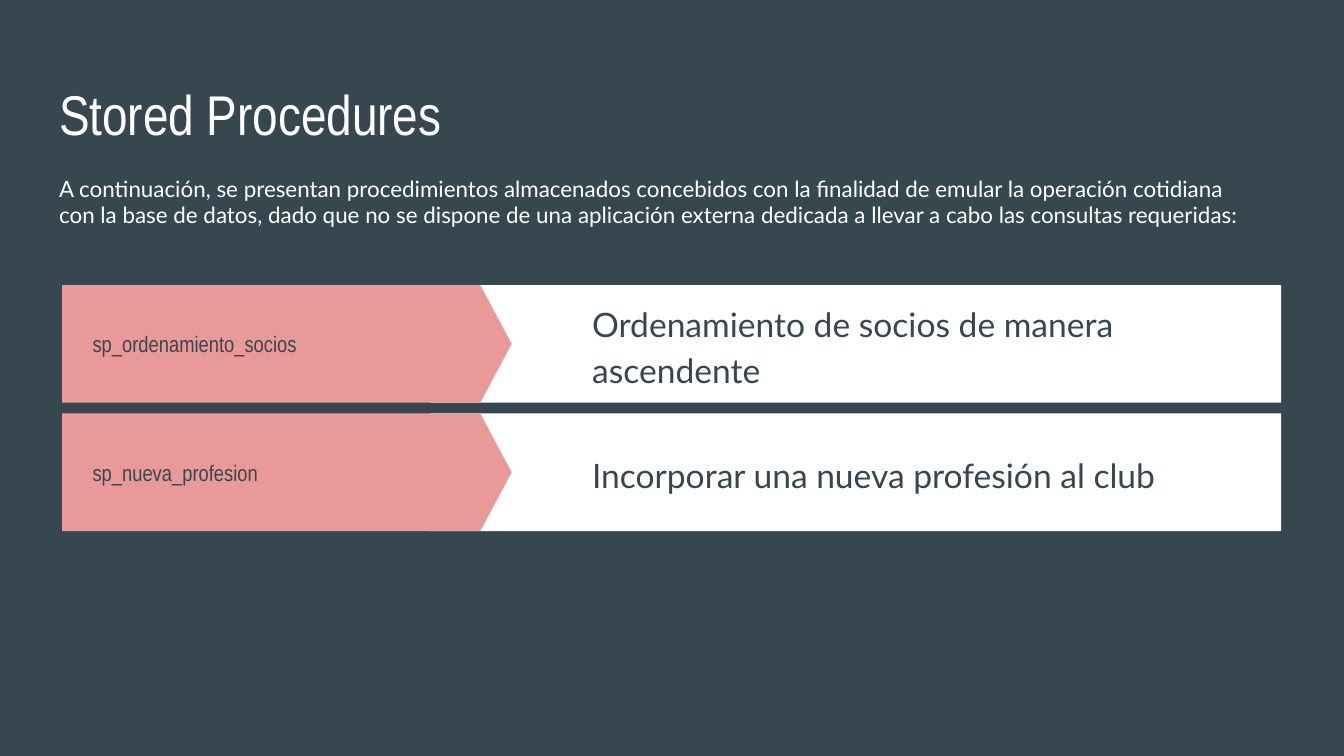
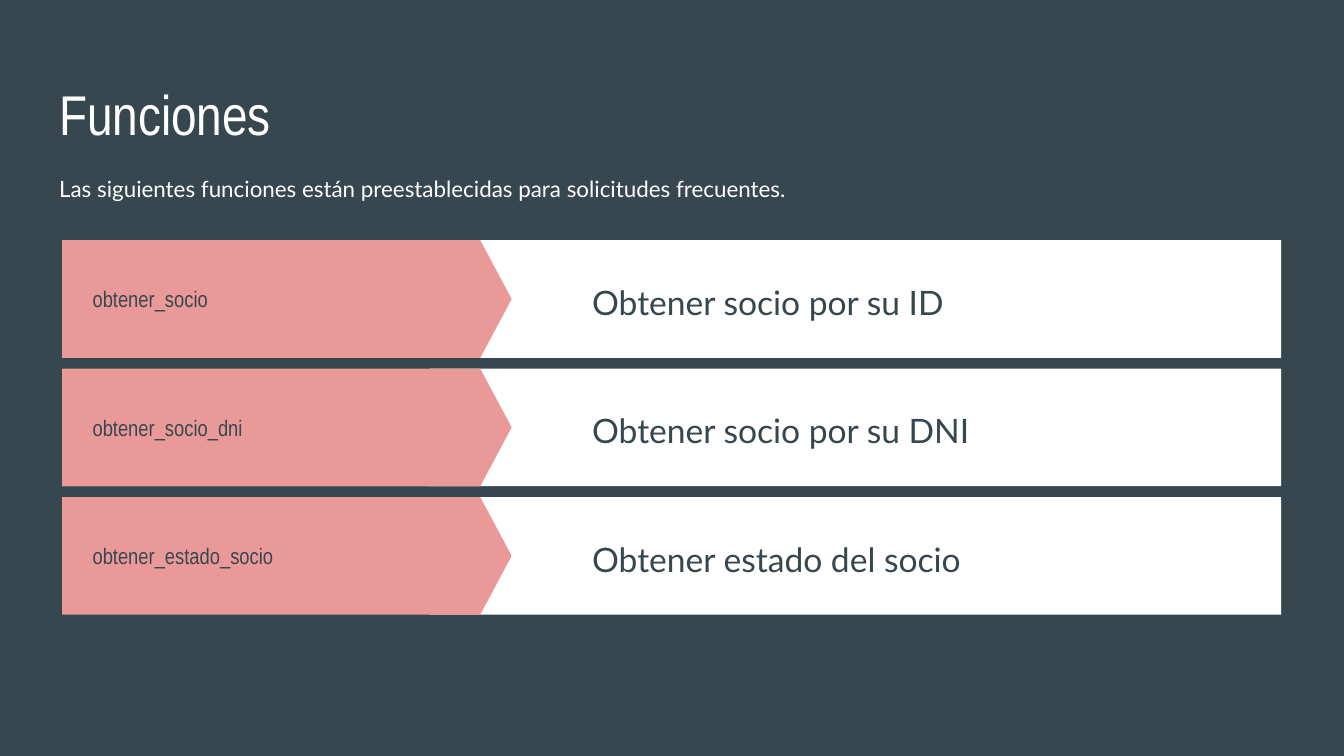
from pptx import Presentation
from pptx.dml.color import RGBColor
from pptx.enum.shapes import MSO_SHAPE
from pptx.enum.text import MSO_ANCHOR, MSO_AUTO_SIZE
from pptx.util import Pt

SLATE = RGBColor(0x37, 0x47, 0x4F)
PINK = RGBColor(0xEA, 0x99, 0x99)
WHITE = RGBColor(0xFF, 0xFF, 0xFF)
HEADING_FONT = "Arial Narrow"
BODY_FONT = "Lato"

MARGIN_LEFT = 24.6
ROW_HEIGHT = 63
ROW_PITCH = 68.8
INSET = 7.2


class ListDeck:
    """Slides with a title, an introduction and rows of name and purpose."""

    def __init__(self):
        self.deck = Presentation()
        self.deck.slide_width = Pt(720)
        self.deck.slide_height = Pt(405)
        self.page = None

    def add_page(self):
        self.page = self.deck.slides.add_slide(self.deck.slide_layouts[6])
        fill = self.page.background.fill
        fill.solid()
        fill.fore_color.rgb = SLATE

    def add_text(self, text, left, top, width, height, size, font, color,
                 anchor=MSO_ANCHOR.TOP):
        """Add a wrapped text box; return its frame and paragraph."""
        box = self.page.shapes.add_textbox(Pt(left), Pt(top), Pt(width), Pt(height))
        frame = box.text_frame
        frame.word_wrap = True
        frame.vertical_anchor = anchor
        frame.margin_left = frame.margin_right = Pt(INSET)
        frame.margin_top = frame.margin_bottom = Pt(INSET)
        para = frame.paragraphs[0]
        span = para.add_run()
        span.text = text
        span.font.size = Pt(size)
        span.font.name = font
        span.font.color.rgb = color
        return frame, para

    def add_title(self, text):
        self.add_text(text, MARGIN_LEFT, 35.2, 671, 45.4, 30, HEADING_FONT, WHITE)

    def add_intro(self, text, height):
        frame, para = self.add_text(text, MARGIN_LEFT, 86.4, 653, height,
                                    12, BODY_FONT, WHITE)
        frame.auto_size = MSO_AUTO_SIZE.SHAPE_TO_FIT_TEXT
        para.space_before = Pt(5)
        para.space_after = Pt(10)

    def add_band(self, group, kind, left, top, width, color):
        band = group.shapes.add_shape(kind, Pt(left), Pt(top), Pt(width), Pt(ROW_HEIGHT))
        band.shadow.inherit = False
        band.fill.solid()
        band.fill.fore_color.rgb = color
        band.line.fill.background()
        return band

    def add_row(self, name, purpose, top):
        group = self.page.shapes.add_group_shape()
        self.add_band(group, MSO_SHAPE.RECTANGLE, 230.4, top, 456, WHITE)
        arrow = self.add_band(group, MSO_SHAPE.PENTAGON, 33.3, top, 240.8, PINK)
        arrow.adjustments[0] = 0.267
        self.add_text(name, 42.5, top, 190.8, ROW_HEIGHT, 12, HEADING_FONT,
                      SLATE, MSO_ANCHOR.MIDDLE)
        _, para = self.add_text(purpose, 274.1, top, 402.5, ROW_HEIGHT, 18, BODY_FONT,
                                SLATE, MSO_ANCHOR.MIDDLE)
        para.line_spacing = 1.15
        properties = para._p.get_or_add_pPr()
        properties.set("marL", str(Pt(36)))
        properties.set("indent", "0")

    def add_rows(self, rows, top):
        for index, (name, purpose) in enumerate(rows):
            self.add_row(name, purpose, top + index * ROW_PITCH)


def build_procedures(deck):
    deck.add_page()
    deck.add_title("Stored Procedures")
    deck.add_intro(
        "A continuación, se presentan procedimientos almacenados concebidos con la "
        "finalidad de emular la operación cotidiana con la base de datos, dado que no "
        "se dispone de una aplicación externa dedicada a llevar a cabo las consultas "
        "requeridas:", 43.9)
    deck.add_rows([
        ("sp_ordenamiento_socios", "Ordenamiento de socios de manera ascendente"),
        ("sp_nueva_profesion", "Incorporar una nueva profesión al club"),
    ], top=152.7)


def build_functions(deck):
    deck.add_page()
    deck.add_title("Funciones")
    deck.add_intro("Las siguientes funciones están preestablecidas para solicitudes "
                   "frecuentes.", 28.8)
    deck.add_rows([
        ("obtener_socio", "Obtener socio por su ID"),
        ("obtener_socio_dni", "Obtener socio por su DNI"),
        ("obtener_estado_socio", "Obtener estado del socio"),
    ], top=128.7)


def main():
    deck = ListDeck()
    build_procedures(deck)
    build_functions(deck)
    deck.deck.save("out.pptx")


if __name__ == "__main__":
    main()
